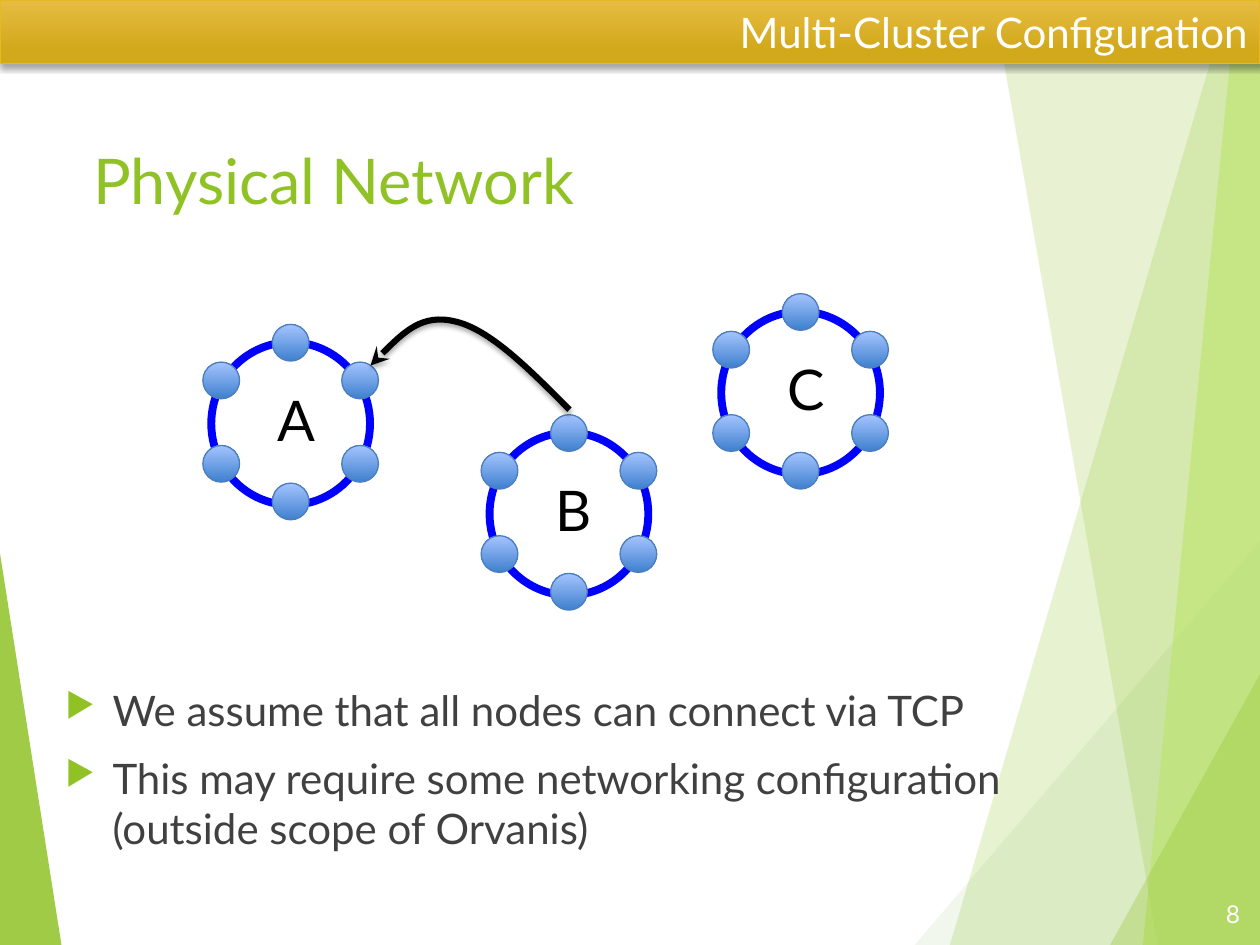
from itertools import product

from lxml.etree import SubElement
from pptx import Presentation
from pptx.dml.color import RGBColor
from pptx.enum.shapes import MSO_SHAPE
from pptx.enum.text import MSO_ANCHOR, PP_ALIGN
from pptx.oxml.ns import qn
from pptx.util import Cm, Pt

WHITE = RGBColor(0xFF, 0xFF, 0xFF)
BLACK = RGBColor(0x00, 0x00, 0x00)
TEXT_GRAY = RGBColor(0x40, 0x40, 0x40)
GREEN = RGBColor(0x90, 0xC2, 0x26)
DARK_GREEN = RGBColor(0x54, 0xA0, 0x21)
LIME = RGBColor(0xC0, 0xE4, 0x74)
RING_BLUE = RGBColor(0x00, 0x00, 0xFF)
NODE_BOTTOM = RGBColor(0x3F, 0x80, 0xCE)
NODE_TOP = RGBColor(0xA4, 0xC4, 0xFF)
NODE_EDGE = RGBColor(0x4B, 0x7E, 0xBC)
GOLD_TOP = RGBColor(0xE7, 0xBC, 0x43)
GOLD_BOTTOM = RGBColor(0xD2, 0xA9, 0x1B)
GOLD_EDGE = RGBColor(0xE6, 0xB9, 0x1E)

WIDTH, HEIGHT = 25.4, 19.05
NODE_SIZE = 0.74
NODE_OFFSETS = [(0, -1.6), (0, 1.6), *product((-1.4, 1.4), (-0.84, 0.84))]
FACETS = [
    ([(0, 11.15), (1.24, HEIGHT), (0, HEIGHT)], GREEN, 85),
    ([(24.77, 0), (19.15, HEIGHT), (WIDTH, HEIGHT), (WIDTH, 0)], GREEN, 21),
    ([(20.02, 0), (23.34, HEIGHT), (WIDTH, HEIGHT), (WIDTH, 0)], GREEN, 20),
    ([(18.44, HEIGHT), (WIDTH, 10.9), (WIDTH, HEIGHT)], DARK_GREEN, 8),
    ([(24.92, 0), (23.04, HEIGHT), (WIDTH, HEIGHT), (WIDTH, 0)], LIME, 70),
    ([(22.38, HEIGHT), (WIDTH, 13.59), (WIDTH, HEIGHT)], GREEN, 30),
]
CLUSTERS = {"A": (5.86, 8.51), "C": (16.14, 7.89), "B": (11.47, 10.33)}
ROUTE = [(11.48, 8.26), (10.67, 7.44), (9.86, 6.63), (9.17, 6.48),
         (8.51, 6.32), (7.98, 6.83), (7.47, 7.37)]
POINTS = ["We assume that all nodes can connect via TCP",
          "This may require some networking configuration (outside scope of Orvanis)"]


class SlideBuilder:
    """Hold the style and the slide, and draw each kind of element."""

    font_name = "Lato"

    def __init__(self, slide):
        self.slide = slide

    def apply(self, target, formats):
        for name, value in formats.items():
            setattr(target, name, value)

    def fill_text(self, shape, texts, size, color, frame_format=None, paragraph_format=None):
        frame = shape.text_frame
        self.apply(frame, {"word_wrap": True, **(frame_format or {})})
        frame.text = "\n".join(texts)
        for paragraph in frame.paragraphs:
            self.apply(paragraph, {"alignment": PP_ALIGN.LEFT, **(paragraph_format or {})})
            self.apply(paragraph.font, {"name": self.font_name, "size": Pt(size)})
            paragraph.font.color.rgb = color

    def text(self, box, texts, size, color, frame_format=None, paragraph_format=None):
        shape = self.slide.shapes.add_textbox(*map(Cm, box))
        self.fill_text(shape, texts, size, color, frame_format, paragraph_format)
        return shape

    def bullets(self, box, texts, size, color):
        shape = self.text(box, texts, size, color, None, {"space_before": Pt(10)})
        for paragraph in shape.text_frame.paragraphs:
            properties = paragraph._p.get_or_add_pPr()
            properties.set("marL", str(Cm(0.95)))
            properties.set("indent", str(Cm(-0.95)))
            bullet_color = SubElement(properties, qn("a:buClr"))
            SubElement(bullet_color, qn("a:srgbClr"), val=str(GREEN))
            SubElement(properties, qn("a:buSzPct"), val="80000")
            SubElement(properties, qn("a:buChar"), char="▶")

    def outline(self, shape, color, width):
        shape.line.color.rgb = color
        shape.line.width = Pt(width)

    def preset(self, kind, box, edge, width, stops=(), angle=90):
        shape = self.slide.shapes.add_shape(kind, *map(Cm, box))
        shape.shadow.inherit = False
        self.outline(shape, edge, width)
        if not stops:
            shape.fill.background()
            return shape
        shape.fill.gradient()
        shape.fill.gradient_angle = angle
        for stop, (position, color) in zip(shape.fill.gradient_stops, stops):
            stop.position = position
            stop.color.rgb = color
        return shape

    def circle(self, center, width, height, *style):
        box = (center[0] - width / 2, center[1] - height / 2, width, height)
        return self.preset(MSO_SHAPE.OVAL, box, *style)

    def freeform(self, points, close):
        start, *others = [tuple(map(Cm, point)) for point in points]
        builder = self.slide.shapes.build_freeform(*start)
        builder.add_line_segments(others, close=close)
        shape = builder.convert_to_shape()
        shape.shadow.inherit = False
        return shape

    def facet(self, points, color, opacity):
        shape = self.freeform(points, True)
        shape.line.fill.background()
        shape.fill.solid()
        shape.fill.fore_color.rgb = color
        color_element = shape._element.spPr.find(f".//{qn('a:srgbClr')}")
        SubElement(color_element, qn("a:alpha"), val=str(opacity * 1000))

    def curved_arrow(self, points, color, width):
        shape = self.freeform(points, False)
        shape.fill.background()
        self.outline(shape, color, width)
        properties = shape._element.spPr
        curve_list = properties.find(f".//{qn('a:path')}")
        segments = curve_list.findall(qn("a:lnTo"))
        for first in range(0, len(segments), 3):
            curve = SubElement(curve_list, qn("a:cubicBezTo"))
            for segment in segments[first:first + 3]:
                curve.append(segment[0])
                curve_list.remove(segment)
        SubElement(properties.find(qn("a:ln")), qn("a:tailEnd"), type="stealth")
        self.drop_shadow(shape)

    def drop_shadow(self, shape):
        effects = shape._element.spPr.find(qn("a:effectLst"))
        shadow = SubElement(effects, qn("a:outerShdw"), blurRad=str(Pt(3)),
                            dist=str(Pt(2)), dir="5400000", rotWithShape="0")
        color = SubElement(shadow, qn("a:srgbClr"), val=str(BLACK))
        SubElement(color, qn("a:alpha"), val="35000")

    def cluster(self, label, center):
        x, y = center
        self.circle((x, y + 0.03), 3.2, 3.28, RING_BLUE, 4.5)
        for dx, dy in NODE_OFFSETS:
            self.circle((x + dx, y + dy), NODE_SIZE, NODE_SIZE, NODE_EDGE, 0.75,
                        [(0, NODE_BOTTOM), (1, NODE_TOP)])
        self.text((x - 0.52, y - 0.86, 1.37, 1.63), [label], 32, BLACK)

    def banner(self, title):
        shape = self.preset(MSO_SHAPE.RECTANGLE, (0, 0, WIDTH, 1.28), GOLD_EDGE, 1,
                            [(0, GOLD_TOP), (0.78, GOLD_BOTTOM)], 270)
        self.drop_shadow(shape)
        self.fill_text(shape, [title], 24, WHITE, {"vertical_anchor": MSO_ANCHOR.MIDDLE},
                       {"alignment": PP_ALIGN.RIGHT})


def main():
    presentation = Presentation()
    presentation.slide_width, presentation.slide_height = Cm(WIDTH), Cm(HEIGHT)
    builder = SlideBuilder(presentation.slides.add_slide(presentation.slide_layouts[6]))
    for facet in FACETS:
        builder.facet(*facet)
    builder.text((1.63, 2.72, 17.63, 3.66), ["Physical Network"], 36, GREEN)
    builder.bullets((1.07, 13.67, 19.56, 10.77), POINTS, 24, TEXT_GRAY)
    builder.text((23.83, 17.91, 1.42, 1.02), ["8"], 14, WHITE,
                 {"vertical_anchor": MSO_ANCHOR.MIDDLE}, {"alignment": PP_ALIGN.RIGHT})
    for label, center in CLUSTERS.items():
        builder.cluster(label, center)
    builder.banner("Multi-Cluster Configuration")
    builder.curved_arrow(ROUTE, BLACK, 3.5)
    presentation.save("out.pptx")


if __name__ == "__main__":
    main()
